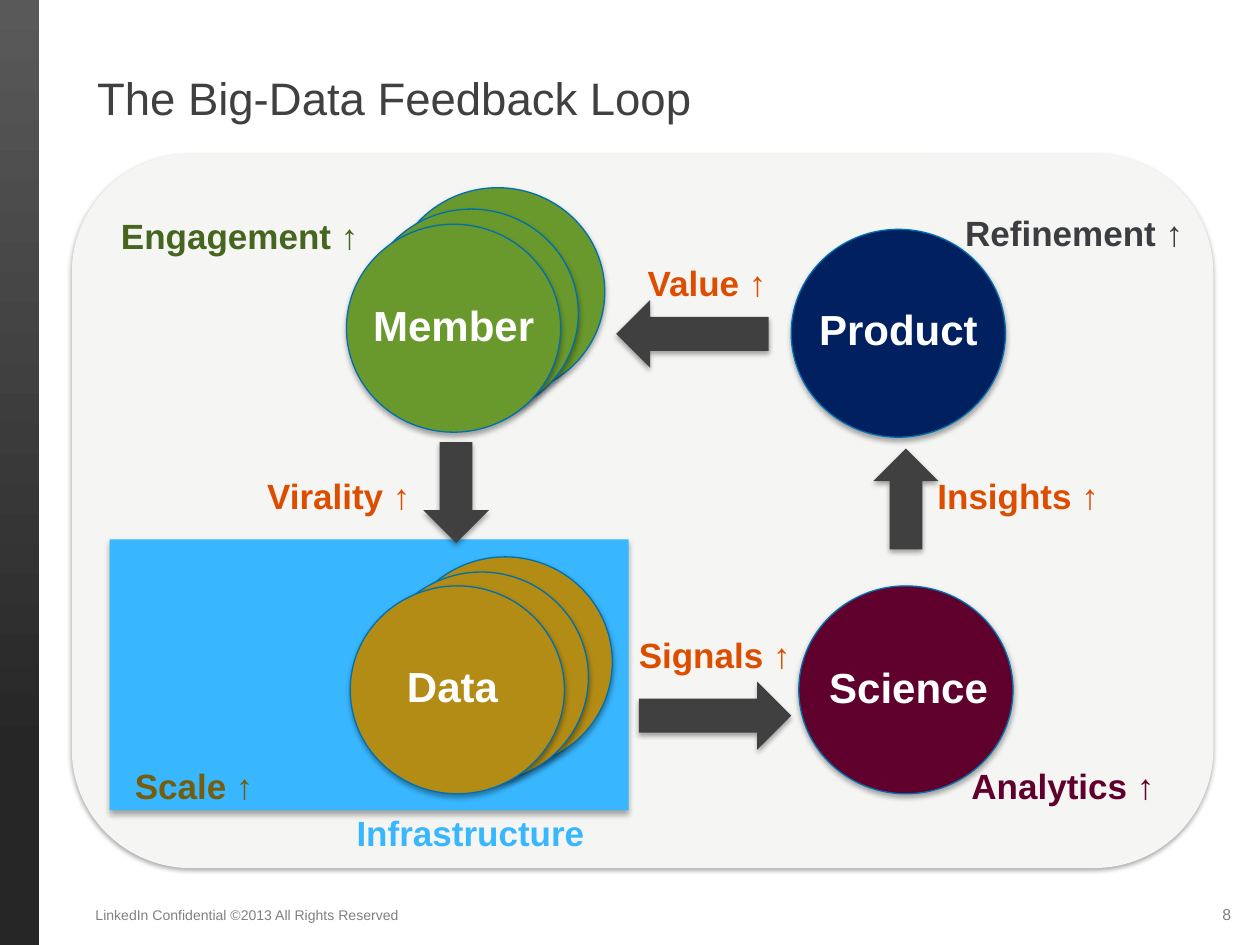
from lxml.etree import SubElement
from pptx import Presentation
from pptx.dml.color import RGBColor
from pptx.enum.shapes import MSO_SHAPE as Shape
from pptx.enum.text import MSO_ANCHOR as Anchor, PP_ALIGN as Align
from pptx.oxml.ns import qn
from pptx.util import Inches, Pt

FONT = "Arial"
COLORS = {
    "bar_dark": "262626", "bar_light": "595959", "panel": "F5F5F4",
    "infrastructure": "38B7FF", "outline": "006FAE", "arrow": "404040",
    "title": "404040", "footer": "808080", "white": "FFFFFF",
    "member": "69982C", "data": "B28C15", "product": "002060", "science": "60002D",
    "flow": "DD4D00", "engagement": "46651E", "refinement": "3C3D41", "scale": "765D0E",
}
CIRCLE = (1.7, 1.65)
BACK_CIRCLE = (1.7, 1.67)


def rgb(name):
    return RGBColor.from_string(COLORS[name])


def add_shadow(shape, alpha=35, blur=3.1, distance=1.8):
    """Give the shape a soft shadow that falls straight down."""
    shape.shadow.inherit = False
    effects = shape._element.spPr.find(qn("a:effectLst"))
    shadow = SubElement(effects, qn("a:outerShdw"), blurRad=str(Pt(blur)),
                        dist=str(Pt(distance)), dir="5400000", rotWithShape="0")
    color = SubElement(shadow, qn("a:srgbClr"), val="000000")
    SubElement(color, qn("a:alpha"), val=str(alpha * 1000))


def add_block(slide, kind, box, color, outline=None, **shadow):
    shape = slide.shapes.add_shape(kind, *map(Inches, box))
    shape.fill.solid()
    shape.fill.fore_color.rgb = rgb(color)
    if outline:
        shape.line.color.rgb = rgb(outline)
        shape.line.width = Pt(0.75)
    else:
        shape.line.fill.background()
    add_shadow(shape, **shadow)
    return shape


def add_circle(slide, left, top, color, size=CIRCLE):
    return add_block(slide, Shape.OVAL, (left, top, *size), color, outline="outline")


def write_text(shape, text, size=20, color="flow", bold=True, align=Align.LEFT,
               anchor=Anchor.TOP, wrap=False, insets=(0, 0.05, 0, 0.05)):
    frame = shape.text_frame
    frame.word_wrap = wrap
    frame.vertical_anchor = anchor
    (frame.margin_left, frame.margin_top,
     frame.margin_right, frame.margin_bottom) = map(Inches, insets)
    paragraph = frame.paragraphs[0]
    paragraph.text = text
    paragraph.alignment = align
    font = paragraph.font
    font.name, font.size, font.bold = FONT, Pt(size), bold
    font.color.rgb = rgb(color)


def add_text(slide, box, text, **style):
    write_text(slide.shapes.add_textbox(*map(Inches, box)), text, **style)


def add_side_bar(slide):
    bar = slide.shapes.add_shape(Shape.RECTANGLE, 0, 0, Inches(0.31), Inches(7.5))
    bar.shadow.inherit = False
    bar.line.fill.background()
    bar.fill.gradient()
    bar.fill.gradient_angle = 90
    stops = (("bar_dark", 0.2), ("bar_light", 1))
    for stop, (color, position) in zip(bar.fill.gradient_stops, stops):
        stop.color.rgb = rgb(color)
        stop.position = position


def add_title(slide, text):
    title = slide.shapes.title
    title.left, title.top, title.width, title.height = map(Inches, (0.77, 0.22, 8.71, 1.1))
    write_text(title, text, size=26, color="title", bold=False, wrap=True,
               anchor=Anchor.MIDDLE)


def add_footer(slide):
    style = dict(color="footer", bold=False, wrap=True, anchor=Anchor.MIDDLE,
                 insets=(0.1, 0.05, 0.1, 0.05))
    add_text(slide, (0.66, 7.06, 3.17, 0.4),
             "LinkedIn Confidential ©2013 All Rights Reserved", size=8, **style)
    add_text(slide, (7.54, 7.06, 2.33, 0.4), "8", size=9, align=Align.RIGHT, **style)


def add_loop(slide):
    # Circles stacked behind the data and member stages
    for left, top, color in ((3.16, 4.42, "data"), (2.97, 4.54, "data")):
        add_circle(slide, left, top, color, size=BACK_CIRCLE)
    for left, top, color in ((3.1, 1.49, "member"), (2.89, 1.66, "member")):
        add_circle(slide, left, top, color)

    # Four stages: circle position, then name position
    stages = (
        ("Product", "product", (6.28, 1.82), (6.36, 2.36)),
        ("Science", "science", (6.34, 4.65), (6.44, 5.2)),
        ("Data", "data", (2.78, 4.65), (2.82, 5.19)),
        ("Member", "member", (2.75, 1.78), (2.83, 2.33)),
    )
    for name, color, circle_at, name_at in stages:
        add_circle(slide, *circle_at, color)
        add_text(slide, (*name_at, 1.64, 0.4), name, size=24, color="white",
                 align=Align.CENTER, insets=(0, 0.05, 0.1, 0.05))

    # Arrows between the stages
    arrows = (
        (Shape.RIGHT_ARROW, (5.07, 5.41, 1.21, 0.54)),
        (Shape.LEFT_ARROW, (4.89, 2.38, 1.21, 0.54)),
        (Shape.DOWN_ARROW, (3.36, 3.51, 0.52, 0.8)),
        (Shape.UP_ARROW, (6.93, 3.56, 0.52, 0.8)),
    )
    for kind, box in arrows:
        add_block(slide, kind, box, "arrow")


def add_labels(slide):
    # Each box is wide enough to hold its label on one line
    labels = (
        ("Value ↑", 5.14, 2.03, 1.21, "flow"),
        ("Insights ↑", 7.44, 3.72, 1.4, "flow"),
        ("Virality ↑", 2.12, 3.72, 1.23, "flow"),
        ("Signals ↑", 5.07, 4.98, 1.3, "flow"),
        ("Engagement ↑", 0.96, 1.65, 1.97, "engagement"),
        ("Refinement ↑", 7.66, 1.63, 1.88, "refinement"),
        ("Scale ↑", 1.07, 6.02, 1.3, "scale"),
        ("Analytics ↑", 7.71, 6.02, 1.55, "science"),
        ("Infrastructure", 2.83, 6.39, 1.96, "infrastructure"),
    )
    for text, left, top, width, color in labels:
        add_text(slide, (left, top, width, 0.41), text, color=color)


def main():
    presentation = Presentation()
    presentation.slide_width, presentation.slide_height = Inches(10), Inches(7.5)
    slide = presentation.slides.add_slide(presentation.slide_layouts[5])

    # Frame of the slide
    add_side_bar(slide)
    add_title(slide, "The Big-Data Feedback Loop")
    add_footer(slide)

    # Panel and infrastructure area
    add_block(slide, Shape.ROUNDED_RECTANGLE, (0.57, 1.22, 9.06, 5.67), "panel")
    add_block(slide, Shape.RECTANGLE, (0.87, 4.28, 4.12, 2.15), "infrastructure",
              alpha=32, blur=3.5, distance=2.2)

    # Feedback loop
    add_loop(slide)
    add_labels(slide)
    presentation.save("out.pptx")


if __name__ == "__main__":
    main()
